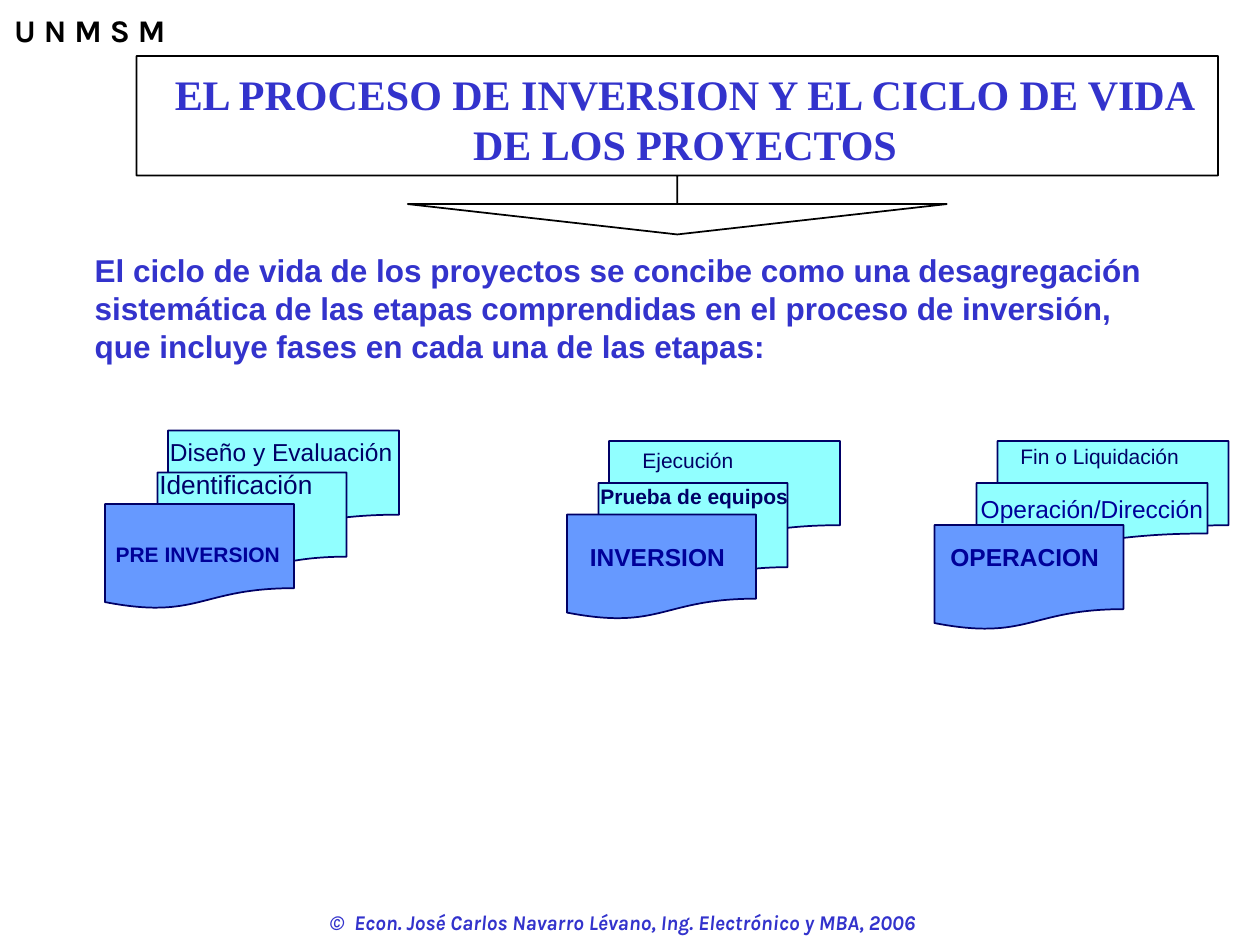
from pptx import Presentation
from pptx.dml.color import RGBColor as RGB
from pptx.enum.shapes import MSO_SHAPE as SHAPE
from pptx.enum.text import MSO_ANCHOR as ANCHOR, MSO_AUTO_SIZE as AUTO, PP_ALIGN as ALIGN
from pptx.util import Pt

COLORS = {
    "title": "3333CC",
    "black": "000000",
    "navy": "000066",
    "blue": "000099",
    "cyan": "91FFFF",
    "front": "6699FF",
}
SHEET_H = 60
NARROW, WIDE = 108, 132
NOTE_W, NAME_W = 192, 116

STAGES = [
    {
        "sheets": [(96, 246, WIDE), (90, 270, NARROW)],
        "front": (60, 288),
        "notes": [("Diseño y Evaluación", 90, 246, 14, False),
                  ("Identificación", 84, 264, 15, False)],
        "name": ("PRE INVERSION", 59, 306, 12),
    },
    {
        "sheets": [(348, 252, WIDE), (342, 276, NARROW)],
        "front": (324, 294),
        "notes": [("Ejecución", 360, 252, 12, False),
                  ("Prueba de equipos", 336, 272.5, 12, True)],
        "name": ("INVERSION", 330, 306, 14),
    },
    {
        "sheets": [(570, 252, WIDE), (558, 276, WIDE, 36, "Operación/Dirección")],
        "front": (534, 300),
        "notes": [("Fin o Liquidación", 576, 250, 12, False)],
        "name": ("OPERACION", 536, 306, 14),
    },
]


def color(name):
    return RGB.from_string(COLORS[name])


def write(sp, text, size=12, font="Arial", ink="navy", bold=False, italic=False,
          align=ALIGN.LEFT, wrap=False, anchor=ANCHOR.TOP):
    tf = sp.text_frame
    tf.word_wrap = wrap
    tf.vertical_anchor = anchor
    for i, line in enumerate(text.split("\n")):
        p = tf.paragraphs[0] if i == 0 else tf.add_paragraph()
        p.alignment = align
        r = p.add_run()
        r.text = line
        r.font.name = font
        r.font.size = Pt(size)
        r.font.bold = bold
        r.font.italic = italic
        r.font.color.rgb = color(ink)


def add_text(s, text, x, y, w, h, **fmt):
    sp = s.shapes.add_textbox(Pt(x), Pt(y), Pt(w), Pt(h))
    write(sp, text, **fmt)
    sp.text_frame.auto_size = AUTO.SHAPE_TO_FIT_TEXT


def add_outlined(s, kind, x, y, w, h, line, fill=None):
    sp = s.shapes.add_shape(kind, Pt(x), Pt(y), Pt(w), Pt(h))
    sp.shadow.inherit = False
    sp.line.color.rgb = color(line)
    sp.line.width = Pt(1)
    if fill:
        sp.fill.solid()
        sp.fill.fore_color.rgb = color(fill)
    else:
        sp.fill.background()
    return sp


def add_sheet(s, x, y, w, h=SHEET_H, text=None, fill="cyan"):
    sp = add_outlined(s, SHAPE.FLOWCHART_DOCUMENT, x, y, w, h, "navy", fill)
    if text:
        write(sp, text, size=14, ink="blue", align=ALIGN.CENTER, anchor=ANCHOR.MIDDLE)


def add_title_callout(s):
    sp = add_outlined(s, SHAPE.RIGHT_ARROW_CALLOUT, 336, -226, 102, 618, "black")
    sp.rotation = 90
    for i, value in enumerate((0, 1.51, 0.17, 0.67)):
        sp.adjustments[i] = value


def add_stage(s, stage):
    for sheet in stage["sheets"]:
        add_sheet(s, *sheet)
    add_sheet(s, *stage["front"], NARROW, fill="front")
    for text, x, y, size, bold in stage["notes"]:
        add_text(s, text, x, y, NOTE_W, size + 10, size=size, bold=bold, wrap=True)
    text, x, y, size = stage["name"]
    add_text(s, text, x, y, NAME_W, size + 10, size=size, ink="blue", bold=True, wrap=True)


def main():
    prs = Presentation()
    prs.slide_width, prs.slide_height = Pt(720), Pt(540)
    s = prs.slides.add_slide(prs.slide_layouts[6])

    add_text(s, "©  Econ. José Carlos Navarro Lévano, Ing. Electrónico y MBA, 2006",
             163.5, 516, 385, 22, font="Karla", ink="title", bold=True, italic=True,
             align=ALIGN.CENTER)
    add_text(s, "U N M S M", 1, 3, 105, 29, size=18, font="Karla", ink="black", bold=True)
    add_title_callout(s)
    add_text(s, "EL PROCESO DE INVERSION Y EL CICLO DE VIDA\nDE LOS PROYECTOS",
             88.5, 35.5, 606, 65, size=24, font="Times New Roman", ink="title", bold=True,
             align=ALIGN.CENTER)
    add_text(s, "El ciclo de vida de los proyectos se concibe como una desagregación\n"
                "sistemática de las etapas comprendidas en el proceso de inversión,\n"
                "que incluye fases en cada una de las etapas:",
             47, 140, 613, 72, size=18, ink="title", bold=True)
    for stage in STAGES:
        add_stage(s, stage)

    prs.save("out.pptx")


if __name__ == "__main__":
    main()
